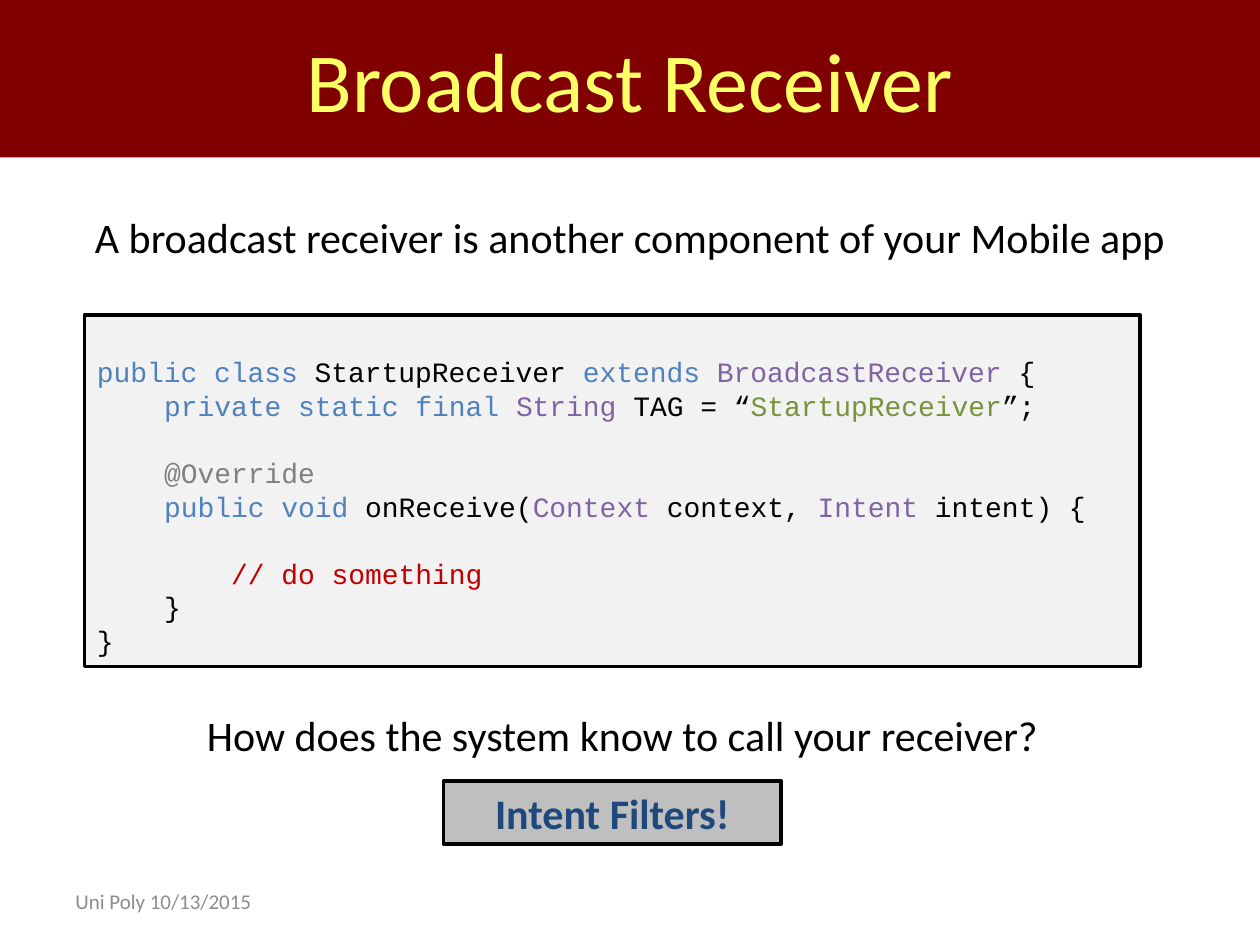
import dataclasses

import pptx
import pptx.dml.color
import pptx.enum.shapes
import pptx.enum.text
import pptx.util
from pptx.util import Inches

ALIGN = pptx.enum.text.PP_ALIGN
ANCHOR = pptx.enum.text.MSO_ANCHOR


@dataclasses.dataclass(frozen=True)
class Theme:
    body_font: str = "Calibri"
    code_font: str = "Courier New"
    title_size: int = 48
    body_size: int = 24
    code_size: int = 16
    footer_size: int = 12
    code_line: float = 19.2
    code_indent: float = 38.4
    border: int = 2
    black: str = "000000"
    banner: str = "800000"
    title: str = "FFFF66"
    footer: str = "8C8C8C"
    code_panel: str = "F2F2F2"
    answer_panel: str = "BFBFBF"
    answer: str = "1F497D"
    keyword: str = "4F81BD"
    type_name: str = "8064A2"
    string: str = "77933C"
    annotation: str = "808080"
    comment: str = "C00000"


THEME = Theme()

# Each line: indent level, blank lines above, coloured segments.
CODE_LINES = [
    (0, 0, [("public class ", THEME.keyword), ("StartupReceiver ", THEME.black),
            ("extends ", THEME.keyword), ("BroadcastReceiver ", THEME.type_name),
            ("{", THEME.black)]),
    (1, 0, [("private static final ", THEME.keyword), ("String", THEME.type_name),
            (" TAG = “", THEME.black), ("StartupReceiver", THEME.string),
            ("”;", THEME.black)]),
    (1, 1, [("@Override", THEME.annotation)]),
    (1, 0, [("public void ", THEME.keyword), ("onReceive(", THEME.black),
            ("Context ", THEME.type_name), ("context, ", THEME.black),
            ("Intent", THEME.type_name), (" intent) {", THEME.black)]),
    (2, 1, [("// do something", THEME.comment)]),
    (1, 0, [("}", THEME.black)]),
    (0, 0, [("}", THEME.black)]),
]


def rgb(color):
    return pptx.dml.color.RGBColor.from_string(color)


def style_font(font, name, size, color, bold=False):
    font.name = name
    font.size = pptx.util.Pt(size)
    font.color.rgb = rgb(color)
    font.bold = bold


def write_line(shape, text, size, color, align=ALIGN.CENTER,
               anchor=ANCHOR.TOP, bold=False):
    frame = shape.text_frame
    frame.word_wrap = True
    frame.vertical_anchor = anchor
    frame.text = text
    paragraph = frame.paragraphs[0]
    paragraph.alignment = align
    style_font(paragraph.runs[0].font, THEME.body_font, size, color, bold)
    return paragraph


def add_text(slide, box, text, size, color, **options):
    shape = slide.shapes.add_textbox(*map(Inches, box))
    return write_line(shape, text, size, color, **options)


def add_panel(slide, box, fill, bordered=True):
    shape = slide.shapes.add_shape(
        pptx.enum.shapes.MSO_SHAPE.RECTANGLE, *map(Inches, box))
    shape.shadow.inherit = False
    shape.fill.solid()
    shape.fill.fore_color.rgb = rgb(fill)
    if bordered:
        shape.line.color.rgb = rgb(THEME.black)
        shape.line.width = pptx.util.Pt(THEME.border)
    else:
        shape.line.fill.background()
    return shape


def add_code(slide, box, lines):
    frame = add_panel(slide, box, THEME.code_panel).text_frame
    frame.word_wrap = True
    frame.vertical_anchor = ANCHOR.TOP
    frame.margin_top = Inches(0.05) + pptx.util.Pt(THEME.code_line)
    for index, (level, blanks, segments) in enumerate(lines):
        paragraph = frame.add_paragraph() if index else frame.paragraphs[0]
        paragraph.alignment = ALIGN.LEFT
        paragraph.line_spacing = pptx.util.Pt(THEME.code_line)
        paragraph.space_before = pptx.util.Pt(blanks * THEME.code_line)
        properties = paragraph._p.get_or_add_pPr()
        properties.set("marL", str(pptx.util.Pt(level * THEME.code_indent)))
        properties.set("indent", "0")
        for text, color in segments:
            run = paragraph.add_run()
            run.text = text
            style_font(run.font, THEME.code_font, THEME.code_size, color)


def main():
    presentation = pptx.Presentation()
    presentation.slide_width = Inches(10)
    presentation.slide_height = Inches(7.5)
    slide = presentation.slides.add_slide(presentation.slide_layouts[6])

    intro = add_text(slide, (0.25, 1.63, 9.5, 0.6),
                     "A broadcast receiver is another component of your Mobile app",
                     THEME.body_size, THEME.black)
    intro.space_before = pptx.util.Pt(0.2 * THEME.body_size)
    add_text(slide, (0.5, 6.95, 2.33, 0.4), "Uni Poly 10/13/2015",
             THEME.footer_size, THEME.footer, align=ALIGN.LEFT,
             anchor=ANCHOR.MIDDLE)

    banner = add_panel(slide, (0, 0, 10, 1.25), THEME.banner, bordered=False)
    write_line(banner, "Broadcast Receiver", THEME.title_size, THEME.title,
               anchor=ANCHOR.MIDDLE)

    add_code(slide, (0.67, 2.5, 8.38, 2.79), CODE_LINES)
    add_text(slide, (0.68, 5.58, 8.52, 0.5),
             "How does the system know to call your receiver?",
             THEME.body_size, THEME.black)
    answer = add_panel(slide, (3.52, 6.2, 2.68, 0.5), THEME.answer_panel)
    write_line(answer, "Intent Filters!", THEME.body_size, THEME.answer, bold=True)

    presentation.save("out.pptx")


if __name__ == "__main__":
    main()
